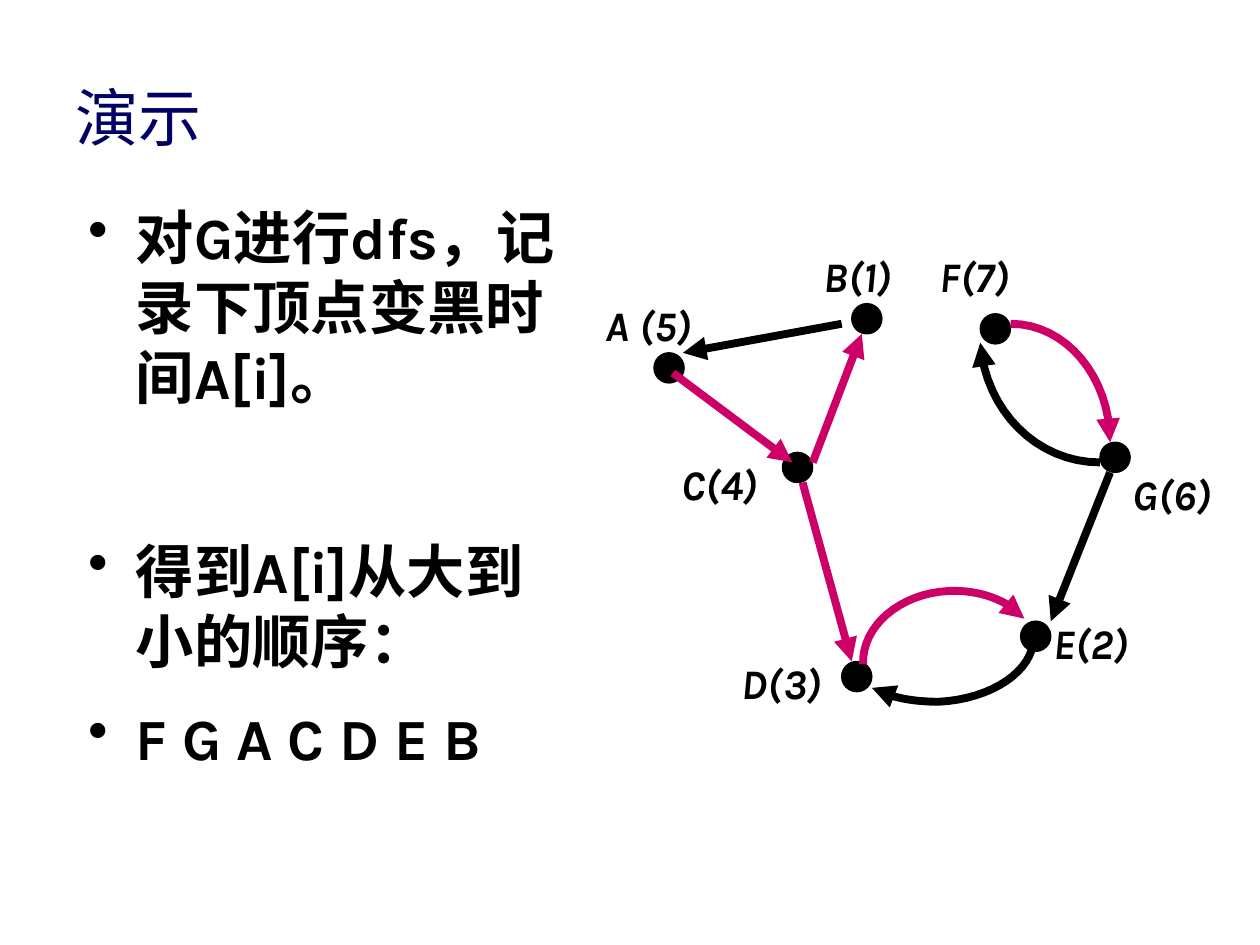
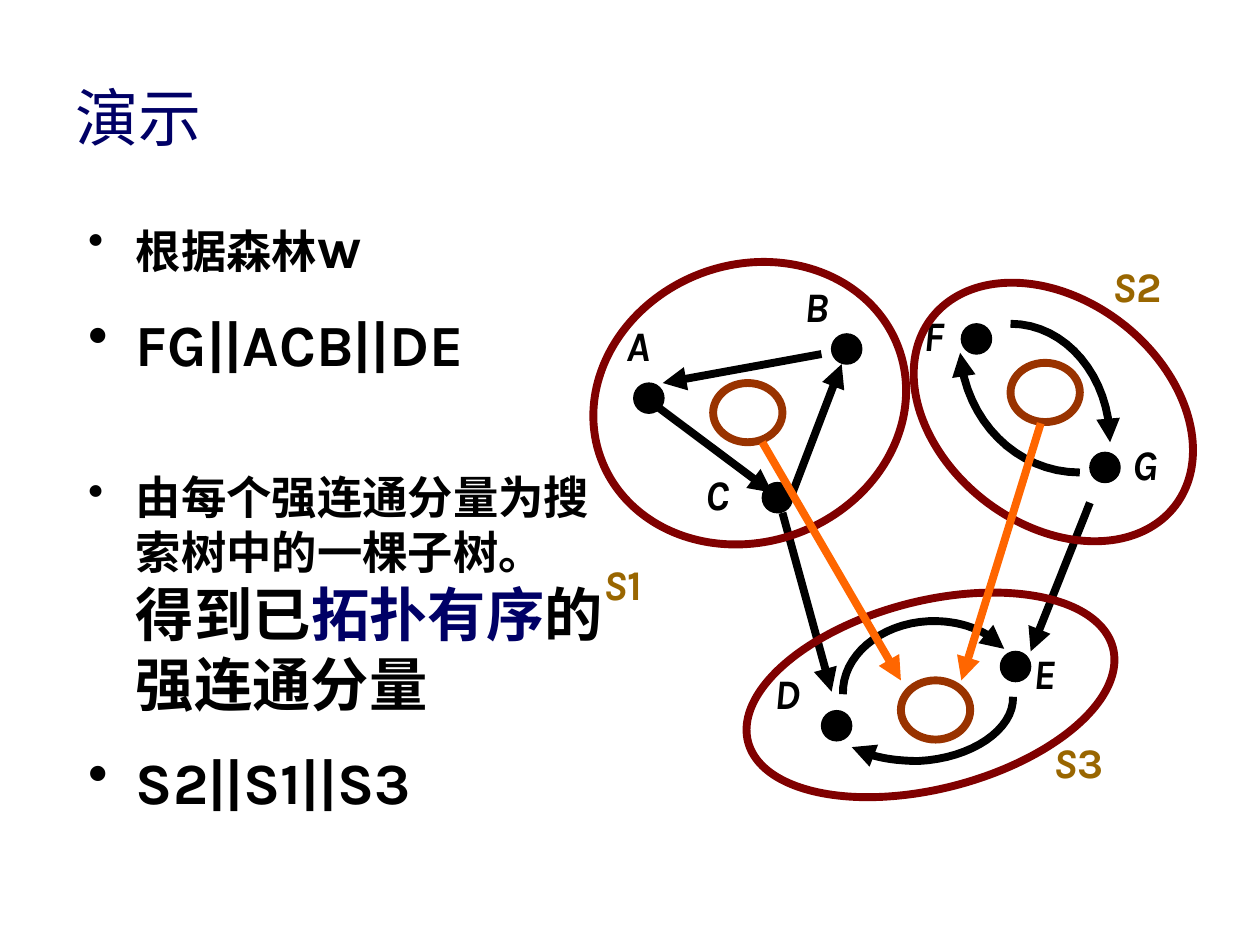
from lxml.etree import SubElement
from pptx import Presentation
from pptx.dml.color import RGBColor
from pptx.enum.shapes import MSO_CONNECTOR, MSO_SHAPE
from pptx.enum.text import MSO_ANCHOR, MSO_AUTO_SIZE, PP_ALIGN
from pptx.oxml.ns import qn
from pptx.util import Inches, Pt

FONT = "Karla"
NAVY, BLACK, MAGENTA = "000066", "000000", "CC0066"
MAROON, BROWN, OCHRE, ORANGE = "800000", "993300", "996600", "FF6600"
LARGE, SMALL = 33.3, 25.9
NODE_SIZE = 0.24
STROKE = 4.5

# Graph on the first slide: node corners, then edges (4 or 7 points are curves)
NODES = {
    "A": (5.19, 2.8), "B": (6.76, 2.41), "C": (6.21, 3.59), "D": (6.68, 5.25),
    "E": (8.1, 4.93), "F": (7.78, 2.49), "G": (8.73, 3.51),
}
EDGES = {
    "AC": [(5.34, 2.96), (6.29, 3.67)],
    "CB": [(6.45, 3.67), (6.84, 2.65)],
    "BA": [(6.68, 2.57), (5.42, 2.8)],
    "CD": [(6.37, 3.83), (6.76, 5.25)],
    "GE": [(8.81, 3.75), (8.34, 4.93)],
    "FG": [(8.02, 2.57), (8.46, 2.57), (8.81, 2.99), (8.81, 3.51)],
    "GF": [(8.73, 3.67), (8.23, 3.67), (7.82, 3.26), (7.78, 2.72)],
    "DE": [(6.85, 5.27), (6.84, 4.97), (7.14, 4.71), (7.53, 4.69),
           (7.77, 4.68), (8, 4.76), (8.13, 4.91)],
    "ED": [(8.2, 5.06), (8.21, 5.32), (7.87, 5.55), (7.45, 5.57),
           (7.26, 5.57), (7.07, 5.54), (6.92, 5.46)],
}
TREE_EDGES = ("AC", "CB", "CD", "DE", "FG")

# How far the second slide moves each part of the graph
SHIFT = (-0.16, 0.24)
SHIFTS = {
    "D": (-0.16, 0.39), "F": (-0.15, 0.08), "G": (-0.08, 0.08),
    "FG": (0, 0), "GF": (-0.16, 0.08), "ED": (-0.16, 0.47),
}


def color(value):
    return RGBColor.from_string(value)


def write(paragraph, text, size=24, fill=BLACK, bold=True, italic=False):
    run = paragraph.add_run()
    run.text = text
    font = run.font
    font.name, font.size = FONT, Pt(size)
    font.bold, font.italic = bold, italic
    font.color.rgb = color(fill)


def move(points, shift):
    return [(x + shift[0], y + shift[1]) for x, y in points]


def curve_points(controls, steps=16):
    """Points along joined cubic curves."""
    points = [controls[0]]
    for first in range(0, len(controls) - 1, 3):
        corners = controls[first:first + 4]
        for step in range(1, steps + 1):
            t = step / steps
            weights = ((1 - t) ** 3, 3 * t * (1 - t) ** 2, 3 * t * t * (1 - t), t ** 3)
            points.append(tuple(
                sum(weight * corner[axis] for weight, corner in zip(weights, corners))
                for axis in (0, 1)))
    return points


class Deck:
    def __init__(self):
        self.presentation = Presentation()
        self.presentation.slide_width = Inches(10)
        self.presentation.slide_height = Inches(7.5)
        self.slide = None

    def new_slide(self, title):
        self.slide = self.presentation.slides.add_slide(self.presentation.slide_layouts[5])
        shape = self.slide.shapes.title
        shape.left, shape.top = Inches(0.5), Inches(0.3)
        shape.width, shape.height = Inches(9), Inches(1.25)
        frame = shape.text_frame
        frame.auto_size = MSO_AUTO_SIZE.NONE
        frame.vertical_anchor = MSO_ANCHOR.MIDDLE
        frame.paragraphs[0].alignment = PP_ALIGN.LEFT
        write(frame.paragraphs[0], title, size=36, fill=NAVY, bold=False)

    def text_box(self, left, top, width, height):
        box = self.slide.shapes.add_textbox(*map(Inches, (left, top, width, height)))
        box.text_frame.word_wrap = True
        return box.text_frame

    def bullets(self, left, top, width, height, items):
        """Each item is its space before and a list of (text, format) runs."""
        frame = self.text_box(left, top, width, height)
        for index, (space, runs) in enumerate(items):
            paragraph = frame.add_paragraph() if index else frame.paragraphs[0]
            paragraph.space_before = Pt(space)
            properties = paragraph._p.get_or_add_pPr()
            properties.set("marL", str(Inches(0.38)))
            properties.set("indent", str(-Inches(0.38)))
            bullet_color = SubElement(properties, qn("a:buClr"))
            SubElement(bullet_color, qn("a:srgbClr"), val=BLACK)
            SubElement(properties, qn("a:buChar"), char="•")
            for text, style in runs:
                write(paragraph, text, **{"size": LARGE, **style})

    def label(self, left, top, text, upright="", fill=BLACK):
        paragraph = self.text_box(left, top, 1.11, 0.74).paragraphs[0]
        write(paragraph, text, fill=fill, italic=True)
        if upright:
            write(paragraph, upright, fill=fill)

    def ellipse(self, left, top, width, height, line, width_points=STROKE,
                fill=None, rotation=0):
        shape = self.slide.shapes.add_shape(
            MSO_SHAPE.OVAL, *map(Inches, (left, top, width, height)))
        shape.shadow.inherit = False
        shape.rotation = rotation
        shape.line.color.rgb = color(line)
        shape.line.width = Pt(width_points)
        if fill:
            shape.fill.solid()
            shape.fill.fore_color.rgb = color(fill)
        else:
            shape.fill.background()

    def node(self, left, top):
        self.ellipse(left, top, NODE_SIZE, NODE_SIZE, BLACK, 0.75, fill=BLACK)

    def arrow(self, points, fill=BLACK):
        """Straight for two points, otherwise a curve; the head is at the end."""
        if len(points) == 2:
            (x1, y1), (x2, y2) = points
            shape = self.slide.shapes.add_connector(
                MSO_CONNECTOR.STRAIGHT, *map(Inches, (x1, y1, x2, y2)))
        else:
            start, *rest = [(Inches(x), Inches(y)) for x, y in curve_points(points)]
            builder = self.slide.shapes.build_freeform(*start)
            builder.add_line_segments(rest, close=False)
            shape = builder.convert_to_shape()
            shape.fill.background()
        shape.line.color.rgb = color(fill)
        shape.line.width = Pt(STROKE)
        properties = shape._element.spPr
        SubElement(properties.find(qn("a:ln")), qn("a:tailEnd"), type="triangle")
        SubElement(properties, qn("a:effectLst"))

    def graph(self, labels, shift=(0, 0), shifts=None, tree_edges=()):
        shifts = shifts or {}
        for name, corner in NODES.items():
            self.node(*move([corner], shifts.get(name, shift))[0])
        for name, points in EDGES.items():
            self.arrow(move(points, shifts.get(name, shift)),
                       MAGENTA if name in tree_edges else BLACK)
        for text, (left, top) in labels.items():
            self.label(left, top, text)


def finishing_times(deck):
    deck.new_slide("演示")
    deck.bullets(0.6, 1.55, 4.01, 5.43, [
        (0, [("对G进行dfs，记录下顶点变黑时间A[i]。", {})]),
        (70.6, [("得到A[i]从大到小的顺序：", {})]),
        (15.8, [("F G A C D E B", {})]),
    ])
    deck.graph({
        "A (5)": (4.71, 2.33), "B(1)": (6.44, 1.94), "C(4)": (5.31, 3.59),
        "D(3)": (5.79, 5.17), "E(2)": (8.26, 4.85), "F(7)": (7.36, 1.94),
        "G(6)": (8.89, 3.67),
    }, tree_edges=TREE_EDGES)


def components(deck):
    deck.new_slide("演示")
    deck.bullets(0.6, 1.62, 4.32, 5.29, [
        (0, [("根据森林", {"size": SMALL}), ("w", {})]),
        (15.8, [("FG||ACB||DE", {})]),
        (52.3, [("由每个强连通分量为搜索树中的一棵子树。", {"size": SMALL}),
                (" ", {"size": 22.2, "bold": False}),
                ("得到已", {}), ("拓扑有序", {"fill": NAVY}), ("的强连通分量", {})]),
        (15.8, [("S2||S1||S3", {})]),
    ])
    deck.graph({
        "A": (4.87, 2.49), "B": (6.29, 2.18), "C": (5.5, 3.67), "D": (6.05, 5.25),
        "E": (8.1, 5.09), "F": (7.23, 2.41), "G": (8.89, 3.43),
    }, SHIFT, SHIFTS)

    # Outlines of the strongly connected components and their names
    for left, top, width, height, rotation in (
            (4.69, 2.1, 2.52, 2.2, 339.3),
            (7.14, 2.38, 2.44, 1.78, 37.7),
            (5.89, 4.77, 2.99, 1.49, 345.6)):
        deck.ellipse(left, top, width, height, MAROON, rotation=rotation)
    for number, left, top in (("1", 4.69, 4.38), ("3", 8.26, 5.8), ("2", 8.73, 2.02)):
        deck.label(left, top, "S", upright=number, fill=OCHRE)

    # Contracted graph
    for left, top in ((5.66, 3.04), (8.02, 2.88), (7.15, 5.4)):
        deck.ellipse(left, top, 0.55, 0.47, BROWN)
    for start, end in (((6.05, 3.51), (7.15, 5.4)), ((8.26, 3.36), (7.63, 5.4))):
        deck.arrow([start, end], ORANGE)


def main():
    deck = Deck()
    finishing_times(deck)
    components(deck)
    deck.presentation.save("out.pptx")


if __name__ == "__main__":
    main()
